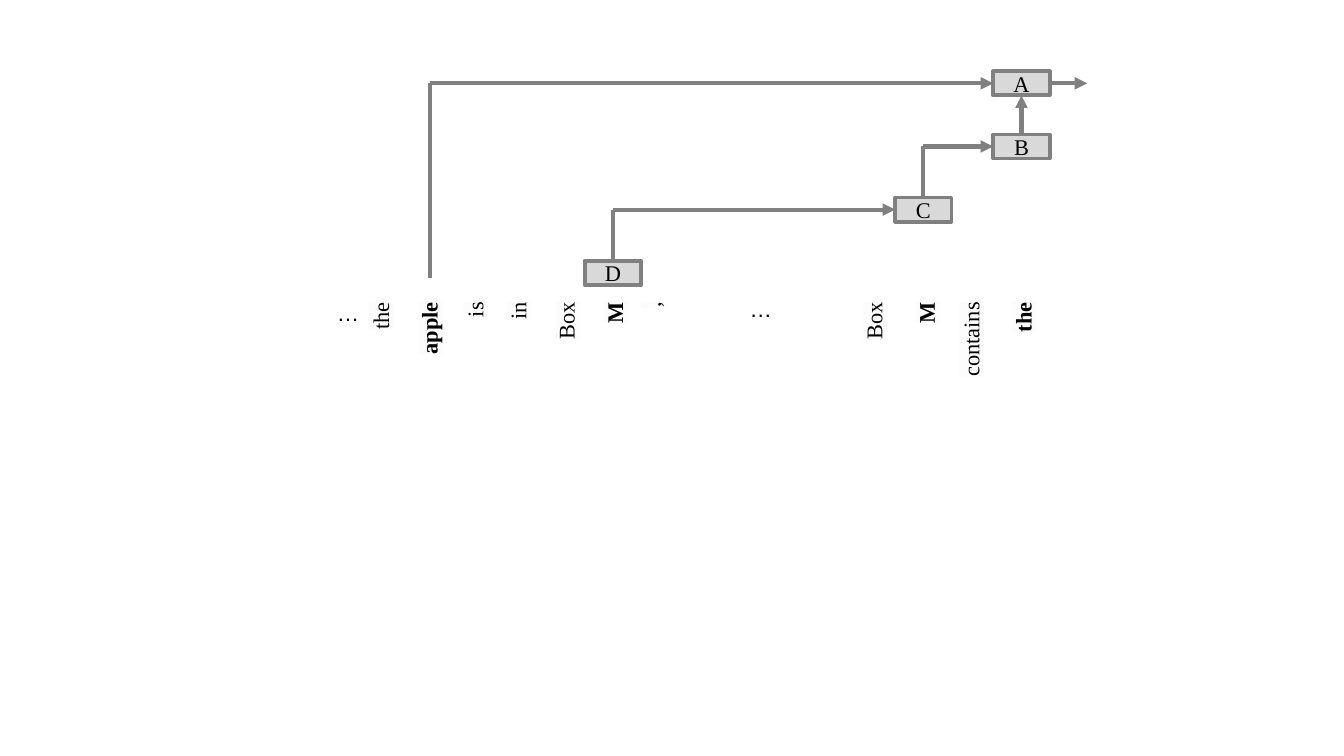
"""Draw the one-slide diagram of information flowing between words."""
import pptx
import pptx.util
import pptx.dml.color
import pptx.enum.shapes
import pptx.enum.text
import pptx.oxml
import pptx.oxml.ns
from dataclasses import dataclass

Inches = pptx.util.Inches
Pt = pptx.util.Pt
RGB = pptx.dml.color.RGBColor.from_string
Align = pptx.enum.text.PP_ALIGN
Middle = pptx.enum.text.MSO_ANCHOR.MIDDLE
TOP, LEFT, BOTTOM, RIGHT = range(4)


@dataclass(frozen=True)
class Theme:
    """Colours, fonts and sizes."""
    ink: str = "000000"
    fill: str = "D9D9D9"
    edge: str = "808080"
    mark: str = "FCFCFC"
    serif: str = "Times New Roman"
    sans: str = "Arial"
    size: float = 12
    rim: float = 2
    wire: float = 2.25


THEME = Theme()


def xml(tag, **attrs):
    """Make a drawing element with the given attributes."""
    node = pptx.oxml.parse_xml(f"<a:{tag} {pptx.oxml.ns.nsdecls('a')}/>")
    for key, value in attrs.items():
        node.set(key, value)
    return node


def style(target, values):
    """Set each value of a dict as an attribute."""
    for key, value in values.items():
        setattr(target, key, value)


def write(shape, text, align, face, bold=False, mark=False, **frame):
    """Put one styled run into a shape."""
    style(shape.text_frame, {"word_wrap": True, **frame})
    para = shape.text_frame.paragraphs[0]
    para.alignment = align
    run = para.add_run()
    run.text = text
    run.font.color.rgb = RGB(THEME.ink)
    if mark:
        light = xml("highlight")
        light.append(xml("srgbClr", val=THEME.mark))
        run.font._element.append(light)
    style(run.font, {"name": face, "size": Pt(THEME.size), "bold": bold})


def wire(slide, start, end, arrow=False, source=None, target=None):
    """Draw a straight line, joined to (shape, side) pairs if given."""
    kind = pptx.enum.shapes.MSO_CONNECTOR.STRAIGHT
    line = slide.shapes.add_connector(kind, *map(Inches, start + end))
    if source:
        line.begin_connect(*source)
    if target:
        line.end_connect(*target)
    line.line.width = Pt(THEME.wire)
    line.line.color.rgb = RGB(THEME.edge)
    if arrow:
        line.line._get_or_add_ln().append(xml("tailEnd", type="triangle"))
    line._element.spPr.append(xml("effectLst"))


def node(slide, name, x, y, wide=0.42, high=0.18):
    """Draw a lettered box centred on a point."""
    kind = pptx.enum.shapes.MSO_SHAPE.RECTANGLE
    area = (x - wide / 2, y - high / 2, wide, high)
    shape = slide.shapes.add_shape(kind, *map(Inches, area))
    shape.shadow.inherit = False
    shape.fill.solid()
    shape.fill.fore_color.rgb = RGB(THEME.fill)
    shape.line.color.rgb = RGB(THEME.edge)
    shape.line.width = Pt(THEME.rim)
    write(shape, name, Align.CENTER, THEME.serif, vertical_anchor=Middle,
          margin_top=0, margin_bottom=0)
    return shape


def flow(slide, left, top, step=0.47):
    """Draw the stepped chain of boxes and its arrows."""
    cols = {"A": 4.4, "B": 4.4, "C": 3.67, "D": 1.36}
    spots = {name: (left + x, top + row * step)
             for row, (name, x) in enumerate(cols.items())}
    boxes = {name: node(slide, name, *spot) for name, spot in spots.items()}
    for low, high in (("D", "C"), ("C", "B")):
        bend = (spots[low][0], spots[high][1])
        wire(slide, spots[low], bend, source=(boxes[low], TOP))
        wire(slide, bend, spots[high], True, target=(boxes[high], LEFT))
    wire(slide, spots["B"], spots["A"], True,
         (boxes["B"], TOP), (boxes["A"], BOTTOM))
    wire(slide, (left, top + 1.45), (left, top))
    wire(slide, (left, top), spots["A"], True, target=(boxes["A"], LEFT))
    wire(slide, spots["A"], (left + 4.89, top), True, (boxes["A"], RIGHT))


def word(slide, text, x, top, bold=False, high=0.4):
    """Write an upward-reading word that ends at the given top."""
    wide = 0.84 if len(text) > 5 else 0.63
    area = (x - wide / 2, top + (wide - high) / 2, wide, high)
    shape = slide.shapes.add_textbox(*map(Inches, area))
    shape.rotation = 270
    write(shape, text, Align.RIGHT, THEME.serif, bold, True,
          vertical_anchor=Middle)


def gap(slide, x, top, wide=1.48):
    """Write a level ellipsis centred on x."""
    area = (x - wide / 2, top, wide, 0.3)
    shape = slide.shapes.add_textbox(*map(Inches, area))
    write(shape, "…", Align.CENTER, THEME.sans)


def phrase(slide, left, top):
    """Set the row of words under the chain."""
    words = (("the", 0.23, False), ("apple", 0.59, True), ("is", 0.93, False),
             ("in", 1.25, False), ("Box", 1.61, False), ("M", 1.97, True),
             (",", 2.25, False), ("Box", 3.9, False), ("M", 4.29, True),
             ("contains", 4.62, False), ("the", 5.01, True))
    for text, x, bold in words:
        word(slide, text, left + x, top, bold)
    for x, drop in ((-0.01, 0.03), (3.06, 0)):
        gap(slide, left + x, top + drop)


def main():
    """Build and save the slide."""
    deck = pptx.Presentation()
    wide = Inches(10)
    style(deck, {"slide_width": wide, "slide_height": wide * 9 // 16})
    slide = deck.slides.add_slide(deck.slide_layouts[6])
    flow(slide, 3.2, 0.62)
    phrase(slide, 2.6, 2.15)
    deck.save("out.pptx")


if __name__ == "__main__":
    main()
